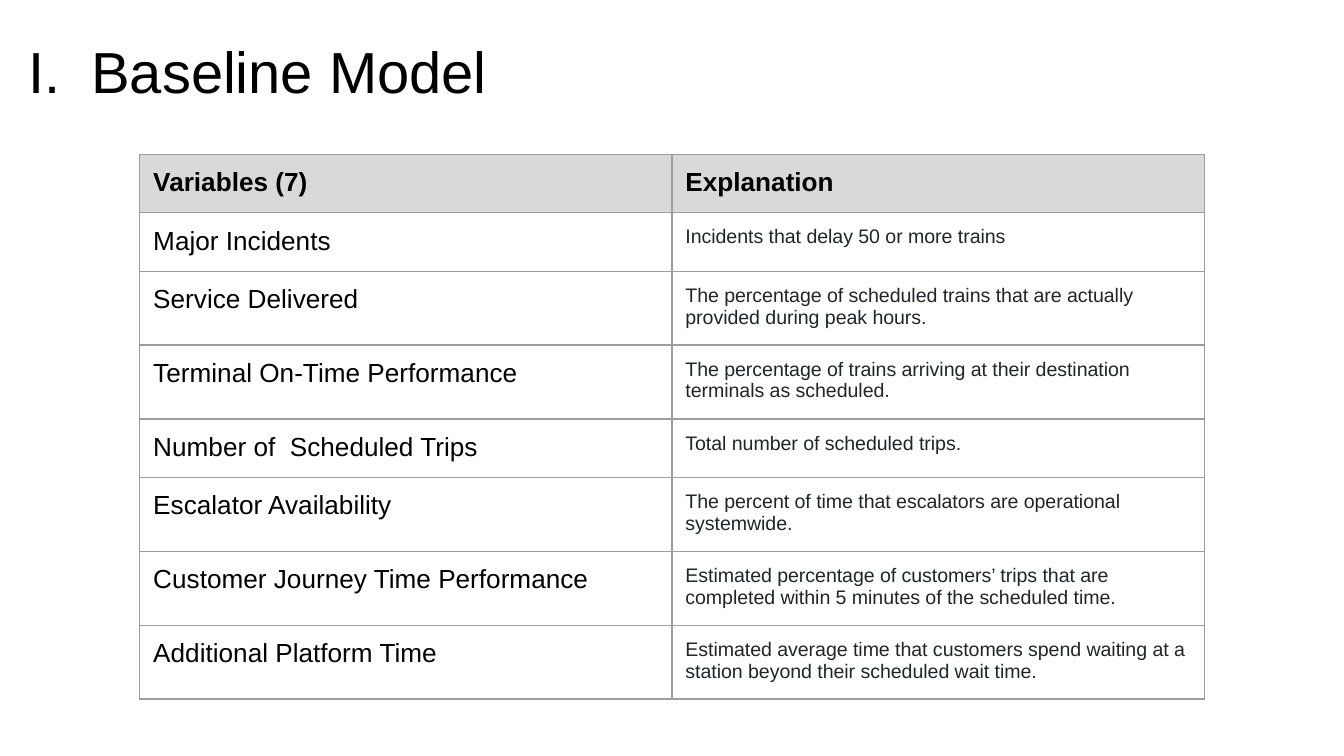
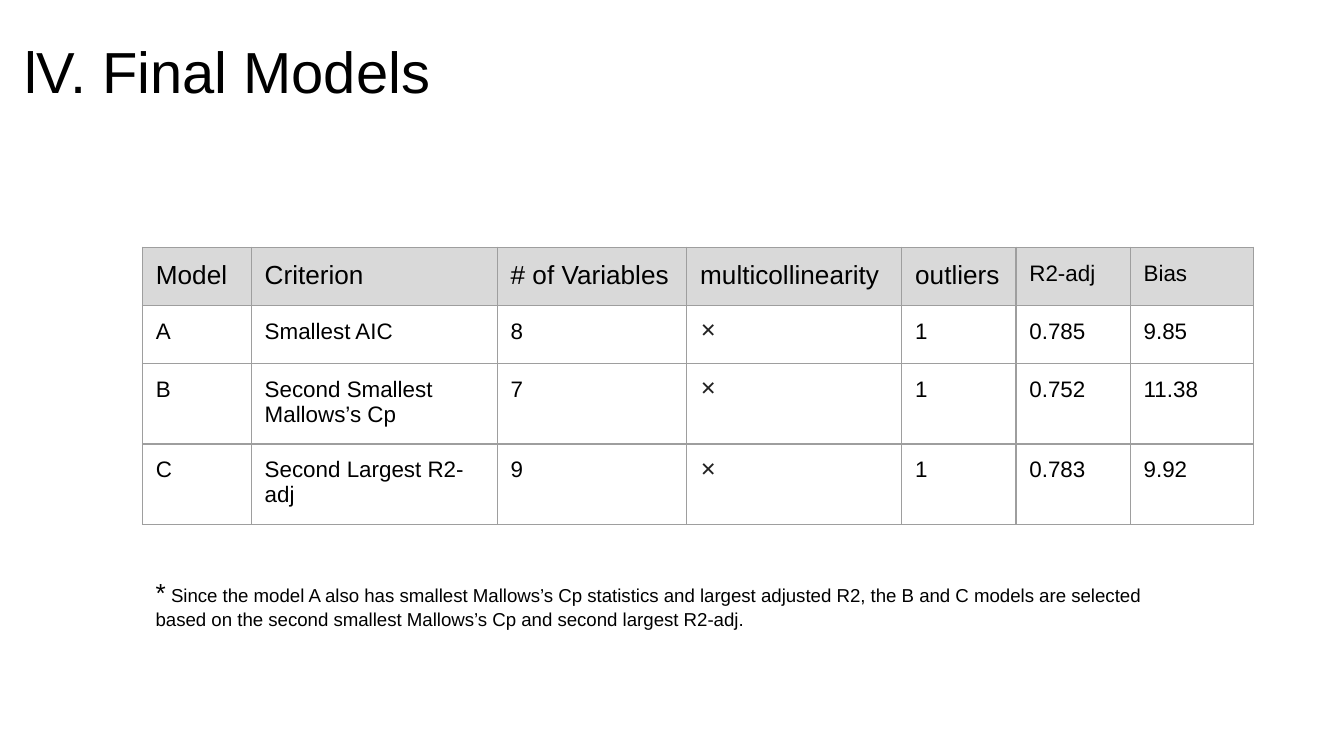
"""Build the baseline and final model slides."""
import dataclasses
import typing

import pptx
import pptx.dml.color
import pptx.enum.text
import pptx.oxml
import pptx.oxml.ns
import pptx.util

Inches = pptx.util.Inches
Pt = pptx.util.Pt


@dataclasses.dataclass(frozen=True)
class Theme:
    font: str = "Arial"
    symbol_font: str = "Roboto"
    ink: str = "000000"
    detail_ink: str = "212529"
    symbol_ink: str = "222222"
    header_fill: str = "D9D9D9"
    border: str = "9E9E9E"
    border_width: float = 0.75
    title_size: float = 31
    label_size: float = 14
    value_size: float = 12
    detail_size: float = 10.5
    note_size: float = 10


@dataclasses.dataclass(frozen=True)
class TextStyle:
    size: float
    color: str
    font: str
    bold: bool = False
    spacing: typing.Optional[float] = None
    inset: float = 0.1


class Deck:
    def __init__(self, theme):
        self.theme = theme
        self.presentation = pptx.Presentation()
        self.presentation.slide_width = Inches(10)
        self.presentation.slide_height = Inches(10) * 9 // 16
        self.slide = None

    def style(self, size, color=None, font=None, **options):
        return TextStyle(size, color or self.theme.ink, font or self.theme.font, **options)

    def format_run(self, run, style):
        run.font.name = style.font
        run.font.size = Pt(style.size)
        run.font.bold = style.bold
        run.font.color.rgb = pptx.dml.color.RGBColor.from_string(style.color)

    def add_slide(self, title, title_width, numbered=False):
        self.slide = self.presentation.slides.add_slide(self.presentation.slide_layouts[6])
        frame = self.text_frame(0.1, 0.23, title_width, 0.88, (0.08, 0.04, 0.08, 0.32))
        frame.vertical_anchor = pptx.enum.text.MSO_ANCHOR.BOTTOM
        frame.text = title
        heading = frame.paragraphs[0]
        heading.line_spacing = 0.9
        self.format_run(heading.runs[0], self.style(self.theme.title_size))
        if numbered:
            properties = heading._p.get_or_add_pPr()
            properties.set("marL", str(Inches(0.5)))
            properties.set("indent", str(Inches(-0.47)))
            namespace = pptx.oxml.ns.nsdecls("a")
            for markup in (
                f'<a:buClr {namespace}><a:srgbClr val="{self.theme.ink}"/></a:buClr>',
                f'<a:buFont {namespace} typeface="{self.theme.font}"/>',
                f'<a:buAutoNum {namespace} type="romanUcPeriod"/>',
            ):
                properties.append(pptx.oxml.parse_xml(markup))

    def text_frame(self, left, top, width, height, insets):
        box = self.slide.shapes.add_textbox(
            Inches(left), Inches(top), Inches(width), Inches(height))
        frame = box.text_frame
        frame.word_wrap = True
        (frame.margin_left, frame.margin_top,
         frame.margin_right, frame.margin_bottom) = map(Inches, insets)
        return frame

    def add_note(self, left, top, width, height, parts):
        frame = self.text_frame(left, top, width, height, (0.1,) * 4)
        for words, size in parts:
            run = frame.paragraphs[0].add_run()
            run.text = words
            self.format_run(run, self.style(size))

    def add_border(self, cell):
        properties = cell._tc.get_or_add_tcPr()
        for position, side in enumerate(("lnL", "lnR", "lnT", "lnB")):
            properties.insert(position, pptx.oxml.parse_xml(
                f'<a:{side} {pptx.oxml.ns.nsdecls("a")} w="{Pt(self.theme.border_width)}">'
                f'<a:solidFill><a:srgbClr val="{self.theme.border}"/></a:solidFill>'
                f'</a:{side}>'))

    def fill_cell(self, cell, words, style, header):
        cell.text_frame.text = words
        paragraph = cell.text_frame.paragraphs[0]
        if style.spacing:
            paragraph.line_spacing = style.spacing
        self.format_run(paragraph.runs[0], style)
        cell.margin_left = cell.margin_right = Inches(0.1)
        cell.margin_top = cell.margin_bottom = Inches(style.inset)
        if header:
            cell.fill.solid()
            cell.fill.fore_color.rgb = pptx.dml.color.RGBColor.from_string(
                self.theme.header_fill)
        else:
            cell.fill.background()
        self.add_border(cell)

    def add_table(self, left, top, widths, heights, rows, header_styles, body_styles):
        table = self.slide.shapes.add_table(
            len(rows), len(widths), Inches(left), Inches(top),
            Inches(sum(widths)), Inches(sum(heights))).table
        table.first_row = table.horz_banding = False
        for column, width in zip(table.columns, widths):
            column.width = Inches(width)
        for index, (row, height, entries) in enumerate(zip(table.rows, heights, rows)):
            row.height = Inches(height)
            styles = body_styles if index else header_styles
            for cell, words, style in zip(row.cells, entries, styles):
                self.fill_cell(cell, words, style, header=index == 0)


VARIABLES = [
    ("Variables (7)", "Explanation"),
    ("Major Incidents", "Incidents that delay 50 or more trains"),
    ("Service Delivered",
     "The percentage of scheduled trains that are actually provided during peak hours."),
    ("Terminal On-Time Performance",
     "The percentage of trains arriving at their destination terminals as scheduled."),
    ("Number of  Scheduled Trips", "Total number of scheduled trips."),
    ("Escalator Availability",
     "The percent of time that escalators are operational systemwide."),
    ("Customer Journey Time Performance",
     "Estimated percentage of customers’ trips that are completed within 5 minutes "
     "of the scheduled time."),
    ("Additional Platform Time",
     "Estimated average time that customers spend waiting at a station beyond "
     "their scheduled wait time."),
]

MODELS = [
    ("Model", "Criterion", "# of Variables", "multicollinearity", "outliers", "R2-adj", "Bias"),
    ("A", "Smallest AIC", "8", "✕", "1", "0.785", "9.85"),
    ("B", "Second Smallest Mallows’s Cp", "7", "✕", "1", "0.752", "11.38"),
    ("C", "Second Largest R2-adj", "9", "✕", "1", "0.783", "9.92"),
]

NOTE = (" Since the model A also has smallest Mallows’s Cp statistics and largest adjusted R2, "
        "the B and C models are selected based on the second smallest Mallows’s Cp "
        "and second largest R2-adj.")


def main():
    theme = Theme()
    deck = Deck(theme)
    label = deck.style(theme.label_size)
    heading = deck.style(theme.label_size, bold=True)
    detail = deck.style(theme.detail_size, theme.detail_ink)
    value = deck.style(theme.value_size)
    symbol = deck.style(theme.detail_size, theme.symbol_ink, theme.symbol_font,
                        spacing=1.15, inset=0.08)

    deck.add_slide("Baseline Model", 3.61, numbered=True)
    deck.add_table(1.04, 1.15, [3.96] * 2, [0.42] * len(VARIABLES), VARIABLES,
                   [heading] * 2, [label, detail])

    deck.add_slide("lV. Final Models", 5.27)
    deck.add_table(1.06, 1.84, [0.81, 1.83, 1.41, 1.6, 0.85, 0.85, 0.92],
                   [0.42, 0.43, 0.42, 0.43], MODELS,
                   [label] * 5 + [value] * 2, [value] * 3 + [symbol] + [value] * 3)
    deck.add_note(1.06, 4.19, 7.69, 0.84,
                  [("*", theme.label_size), (NOTE, theme.note_size)])

    deck.presentation.save("out.pptx")


if __name__ == "__main__":
    main()
